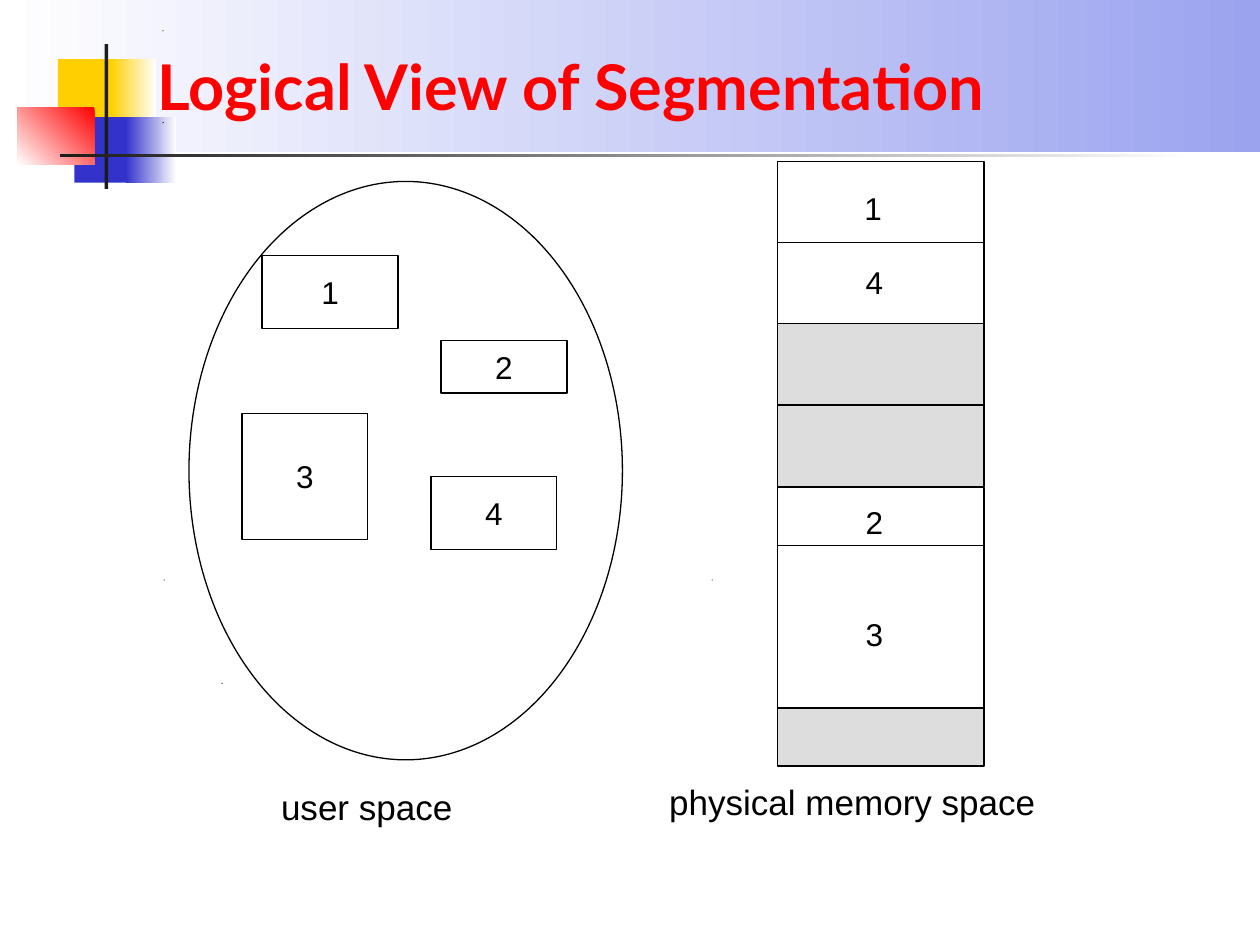
"""Build the slide on the logical view of segmentation."""
from lxml import etree
from pptx import Presentation
from pptx.dml.color import RGBColor
from pptx.enum.shapes import MSO_CONNECTOR, MSO_SHAPE
from pptx.enum.text import MSO_ANCHOR, PP_ALIGN
from pptx.oxml.ns import qn
from pptx.util import Inches, Pt

RECT, OVAL = MSO_SHAPE.RECTANGLE, MSO_SHAPE.OVAL
STRAIGHT = MSO_CONNECTOR.STRAIGHT
MIDDLE, BOTTOM = MSO_ANCHOR.MIDDLE, MSO_ANCHOR.BOTTOM
LEFT, CENTER = PP_ALIGN.LEFT, PP_ALIGN.CENTER

WHITE = RGBColor(0xFF, 0xFF, 0xFF)
BLACK = RGBColor(0x00, 0x00, 0x00)
GRAY = RGBColor(0xDD, 0xDD, 0xDD)
DARK = RGBColor(0x1C, 0x1C, 0x1C)
SKY = RGBColor(0x9B, 0xA3, 0xEF)
GOLD = RGBColor(0xFF, 0xCF, 0x01)
BLUE = RGBColor(0x33, 0x33, 0xCC)
RED = RGBColor(0xFF, 0x00, 0x00)

prs = Presentation()
prs.slide_width, prs.slide_height = Inches(10), Inches(7.5)
slide = prs.slides.add_slide(prs.slide_layouts[5])
shapes = slide.shapes


def add_box(kind, area, fill, edge=True):
    box = shapes.add_shape(kind, *map(Inches, area))
    box.shadow.inherit = False
    box.fill.solid()
    box.fill.fore_color.rgb = fill
    if edge:
        box.line.color.rgb = BLACK
        box.line.width = Pt(0.75)
    else:
        box.line.fill.background()
    return box


def set_text(shape, text, size):
    frame = shape.text_frame
    frame.word_wrap = False
    frame.vertical_anchor = MIDDLE
    para = frame.paragraphs[0]
    para.text = text
    para.alignment = CENTER
    para.font.name = "Arial"
    para.font.size = Pt(size)
    para.font.color.rgb = BLACK


decor = [
    ((0, 0, 10, 1.21), SKY, WHITE, 180),
    ((0.46, 0.47, 0.48, 0.52), GOLD, None, 0),
    ((0.88, 0.47, 0.36, 0.52), WHITE, GOLD, 180),
    ((0.59, 0.93, 0.46, 0.52), BLUE, None, 0),
    ((1, 0.93, 0.4, 0.52), WHITE, BLUE, 180),
    ((0.14, 0.85, 0.61, 0.46), RED, WHITE, 225),
    ((0.83, 0.35, 0.03, 1.15), DARK, None, 0),
    ((0.48, 1.22, 9, 0.03), WHITE, DARK, 180),
]
for area, start, end, angle in decor:
    block = add_box(RECT, area, start, edge=False)
    if end is not None:
        block.fill.gradient()
        block.fill.gradient_angle = angle
        for stop, color in zip(block.fill.gradient_stops, (start, end)):
            stop.color.rgb = color

for x, y in [(1.29, 0.24), (1.76, 5.42), (1.3, 4.6), (5.65, 4.6), (1.29, 0.97)]:
    pen = shapes.build_freeform(Inches(x), Inches(y + 0.01))
    pen.add_line_segments([(Inches(x), Inches(y)), (Inches(x + 0.01), Inches(y))])
    speck = pen.convert_to_shape()
    speck.shadow.inherit = False
    speck.fill.solid()
    speck.fill.fore_color.rgb = BLACK
    speck.line.fill.background()

title = shapes.title
title.left, title.top = Inches(1.15), Inches(0.25)
title.width, title.height = Inches(8.52), Inches(0.78)
title.text_frame.vertical_anchor = BOTTOM
head = title.text_frame.paragraphs[0]
head.text = "Logical View of Segmentation"
head.alignment = LEFT
head.font.name = "Lato"
head.font.size = Pt(36)
head.font.bold = True
head.font.color.rgb = RED
title.element.getparent().append(title.element)

add_box(OVAL, (1.5, 1.44, 3.44, 4.59), WHITE)
parts = [
    ("1", (2.08, 2.03, 1.08, 0.58)),
    ("3", (1.92, 3.28, 1, 1)),
    ("2", (3.5, 2.7, 1, 0.42)),
    ("4", (3.42, 3.78, 1, 0.58)),
]
for name, area in parts:
    set_text(add_box(RECT, area, WHITE), name, 18)

x, width = 6.17, 1.64
bands = [
    (1.28, 1.29, WHITE, 1.93, True),
    (2.57, 1.29, GRAY, 3.22, True),
    (3.87, 1.76, WHITE, 4.33, False),
    (5.62, 0.46, GRAY, None, False),
]
for top, height, fill, cut, joined in bands:
    band = add_box(RECT, (x, top, width, height), fill)
    if cut is None:
        continue
    rule = shapes.add_connector(
        STRAIGHT, Inches(x), Inches(cut), Inches(x + width), Inches(cut))
    if joined:
        rule.begin_connect(band, 1)
        rule.end_connect(band, 3)
    rule.line.color.rgb = BLACK
    rule.line.width = Pt(0.75)
    etree.SubElement(rule.element.spPr, qn("a:effectLst"))

labels = [
    ("1", (6.76, 1.45, 0.34, 0.4), 18),
    ("4", (6.77, 2.04, 0.34, 0.4), 18),
    ("2", (6.77, 3.94, 0.34, 0.4), 18),
    ("3", (6.77, 4.83, 0.34, 0.4), 18),
    ("user space ", (2.13, 6.18, 1.64, 0.44), 20),
    ("physical memory space", (5.21, 6.14, 3.11, 0.44), 20),
]
for text, area, size in labels:
    set_text(shapes.add_textbox(*map(Inches, area)), text, size)

prs.save("out.pptx")
